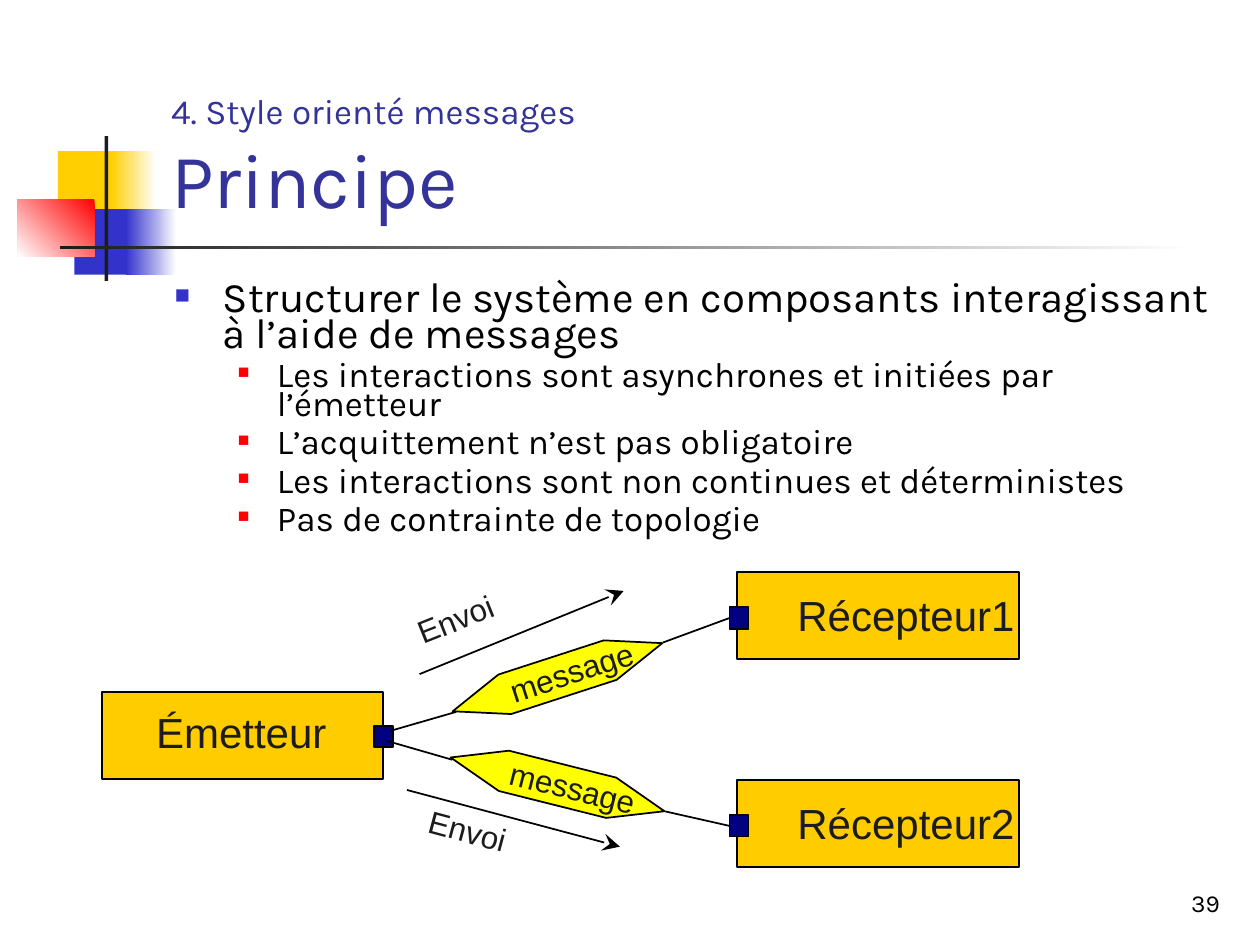
from lxml import etree
from pptx import Presentation
from pptx.dml.color import RGBColor
from pptx.enum.shapes import MSO_CONNECTOR, MSO_SHAPE
from pptx.enum.text import MSO_ANCHOR, PP_ALIGN
from pptx.oxml.ns import qn
from pptx.util import Inches, Pt

COLORS = {
    "gold": "FFCF01", "blue": "3333CC", "red": "FF0000", "white": "FFFFFF",
    "ink": "1C1C1C", "title": "333399", "black": "000000",
    "component": "FFCC00", "port": "000080", "message": "FFFF00",
}
RGB = {name: RGBColor.from_string(value) for name, value in COLORS.items()}

prs = Presentation()
prs.slide_width, prs.slide_height = Inches(10), Inches(7.5)
slide = prs.slides.add_slide(prs.slide_layouts[6])


def add_block(box, fill, outlined=True, preset=MSO_SHAPE.RECTANGLE):
    block = slide.shapes.add_shape(preset, *map(Inches, box))
    block.shadow.inherit = False
    block.fill.solid()
    block.fill.fore_color.rgb = RGB[fill]
    if outlined:
        block.line.color.rgb = RGB["black"]
        block.line.width = Pt(1)
    else:
        block.line.fill.background()
    return block


def add_label(box, text, size, font="Arial", color="ink", rotation=0, wrap=False):
    label = slide.shapes.add_textbox(*map(Inches, box))
    label.rotation = rotation
    frame = label.text_frame
    frame.word_wrap = wrap
    if rotation:
        frame.margin_right = 0
    frame.text = text
    for paragraph in frame.paragraphs:
        for run in paragraph.runs:
            run.font.size = Pt(size)
            run.font.name = font
            run.font.color.rgb = RGB[color]
    return frame


decoration = [
    ((0.46, 1.2, 0.48, 0.52), "gold", None, 0),
    ((0.88, 1.2, 0.36, 0.52), "white", "gold", 180),
    ((0.59, 1.66, 0.46, 0.52), "blue", None, 0),
    ((1, 1.66, 0.4, 0.52), "white", "blue", 180),
    ((0.14, 1.58, 0.61, 0.46), "red", "white", 225),
    ((0.83, 1.08, 0.03, 1.15), "ink", None, 0),
    ((0.48, 1.95, 9, 0.03), "white", "ink", 180),
]
for box, start, end, angle in decoration:
    block = add_block(box, start, outlined=False)
    if end:
        block.fill.gradient()
        block.fill.gradient_angle = angle
        for stop, color in zip(block.fill.gradient_stops, (start, end)):
            stop.color.rgb = RGB[color]

title = add_label((1.26, 0.23, 8.52, 1.6), "4. Style orienté messages\vPrincipe",
                  20, "Karla", "title", wrap=True)
title.vertical_anchor = MSO_ANCHOR.BOTTOM
title.paragraphs[0].runs[1].font.size = Pt(44)

points = [
    "Structurer le système en composants interagissant à l’aide de messages",
    "Les interactions sont asynchrones et initiées par l’émetteur",
    "L’acquittement n’est pas obligatoire",
    "Les interactions sont non continues et déterministes",
    "Pas de contrainte de topologie",
]
body = add_label((1.29, 2.21, 8.5, 2.17), "\n".join(points), 20, "Karla", "black", wrap=True)
for index, paragraph in enumerate(body.paragraphs):
    level = min(index, 1)
    margin, indent, bullet_color, bullet_size = [
        (0.38, -0.38, "blue", 60), (0.81, -0.31, "red", 55)][level]
    props = paragraph._p.get_or_add_pPr()
    props.set("marL", str(Inches(margin)))
    props.set("indent", str(Inches(indent)))
    bullet_fill = etree.SubElement(props, qn("a:buClr"))
    etree.SubElement(bullet_fill, qn("a:srgbClr"), val=COLORS[bullet_color])
    etree.SubElement(props, qn("a:buSzPct"), val=str(bullet_size * 1000))
    etree.SubElement(props, qn("a:buFont"), typeface="Arial")
    etree.SubElement(props, qn("a:buChar"), char="■")
    paragraph.level = level
    paragraph.line_spacing = 0.7
    paragraph.space_before = Pt(5 * level)
body.paragraphs[0].runs[0].font.size = Pt(24)

add_block((0.81, 5.49, 2.23, 0.69), "component")
add_label((1.14, 5.56, 1.55, 0.5), "Émetteur", 24)
add_block((2.97, 5.76, 0.15, 0.17), "port")

receiver_ports = []
for name, top in (("Récepteur1", 4.54), ("Récepteur2", 6.19)):
    add_block((5.85, top, 2.24, 0.69), "component")
    add_label((6.23, top + 0.09, 1.92, 0.5), name, 24)
    receiver_ports.append(add_block((5.79, top + 0.28, 0.15, 0.17), "port"))

links = [
    ((3.1, 5.8, 3.62, 5.65), None, False),
    ((5.26, 5.1, 5.79, 4.91), receiver_ports[0], False),
    ((3.07, 5.88, 3.59, 6.03), None, False),
    ((5.28, 6.44, 5.79, 6.56), receiver_ports[1], False),
    ((3.33, 5.35, 4.95, 4.69), None, True),
    ((3.23, 6.27, 4.92, 6.72), None, True),
]
for ends, port, arrow in links:
    link = slide.shapes.add_connector(MSO_CONNECTOR.STRAIGHT, *map(Inches, ends))
    link.line.color.rgb = RGB["black"]
    link.line.width = Pt(1)
    if port:
        link.end_connect(port, 1)
    if arrow:
        etree.SubElement(link.line._get_or_add_ln(), qn("a:tailEnd"),
                         type="stealth", w="lg", len="lg")
    etree.SubElement(link._element.spPr, qn("a:effectLst"))

for hexagon_top, text_left, text_top, rotation in (
        (5.21, 3.93, 5.13, -18), (6.06, 3.94, 6.05, 14.1)):
    message = add_block((3.55, hexagon_top, 1.75, 0.33), "message",
                        preset=MSO_SHAPE.HEXAGON)
    message.adjustments[0] = 1.32
    message.rotation = rotation
    add_label((text_left, text_top, 1.21, 0.4), "message", 18, rotation=rotation)

for left, top, rotation in ((3.2, 4.71, -21.9), (3.3, 6.39, 15)):
    add_label((left, top, 0.82, 0.4), "Envoi", 18, rotation=rotation)

page = add_label((7.7, 6.83, 2.08, 0.5), "39", 14, "Karla", "black", wrap=True)
page.vertical_anchor = MSO_ANCHOR.BOTTOM
page.paragraphs[0].alignment = PP_ALIGN.RIGHT

prs.save("out.pptx")
